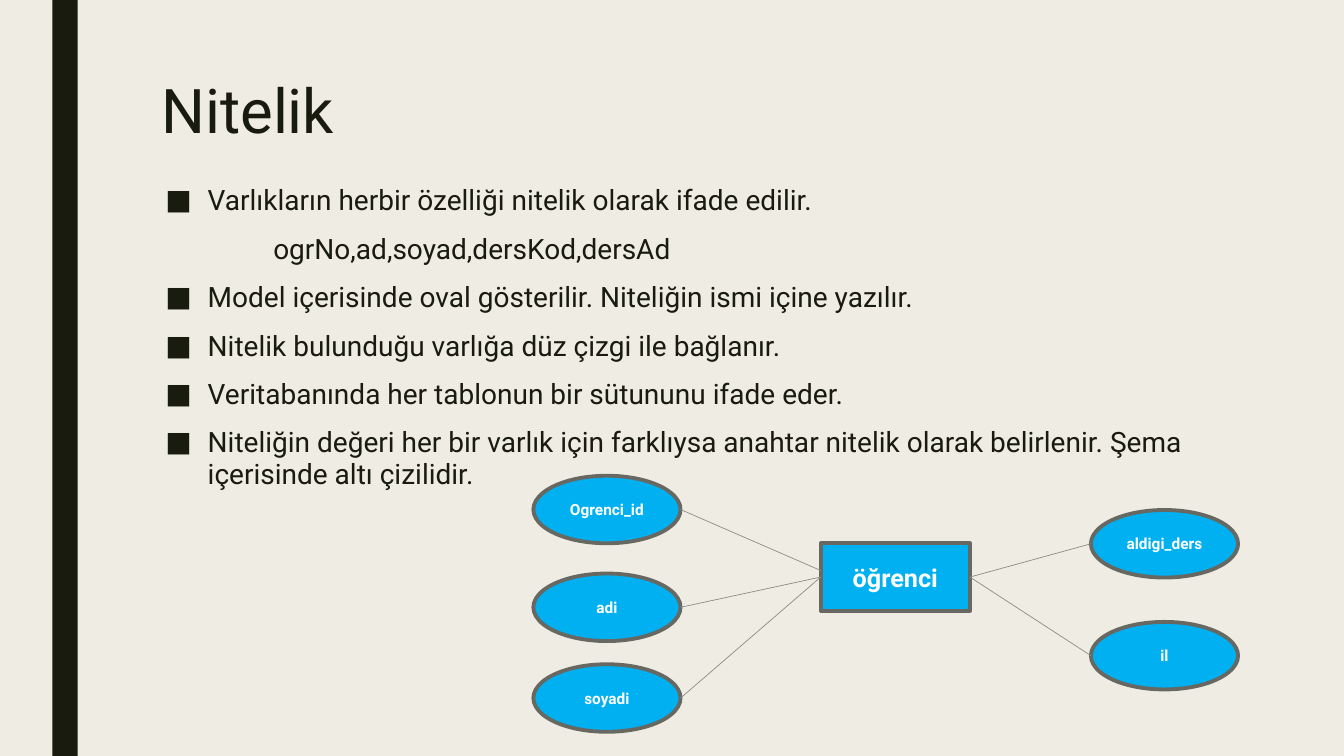
from lxml import etree
from pptx import Presentation
from pptx.dml.color import RGBColor
from pptx.enum import shapes, text
from pptx.oxml import ns
from pptx.util import Inches, Pt

FONT = "Roboto"
COLORS = {"page": "EFEDE3", "ink": "191B0E", "node": "00B0F0",
          "outline": "686863", "link": "8C8D86", "label": "FFFFFF"}

TITLE = "Nitelik"
POINTS = [  # text, has a bullet
    ("Varlıkların herbir özelliği nitelik olarak ifade edilir.", True),
    ("ogrNo,ad,soyad,dersKod,dersAd", False),
    ("Model içerisinde oval gösterilir. Niteliğin ismi içine yazılır.", True),
    ("Nitelik bulunduğu varlığa düz çizgi ile bağlanır.", True),
    ("Veritabanında her tablonun bir sütununu ifade eder.", True),
    ("Niteliğin değeri her bir varlık için farklıysa anahtar nitelik olarak "
     "belirlenir. Şema içerisinde altı çizilidir.", True),
]
ENTITY = ("öğrenci", 8.14, 5.39)
ENTITY_W, ATTRIBUTE_W, NODE_H = 1.48, 1.46, 0.67
LEFT_X, RIGHT_X = 5.29, 10.82
LEFT_ATTRIBUTES = [("Ogrenci_id", 4.72), ("adi", 5.69), ("soyadi", 6.59)]
RIGHT_ATTRIBUTES = [("aldigi_ders", 5.06), ("il", 6.17)]
KEY_ATTRIBUTE, KEY_LINK_END_Y = "Ogrenci_id", 5.66
LEFT_SIDE, RIGHT_SIDE = 1, 3


def color(name):
    return RGBColor.from_string(COLORS[name])


def indent(paragraph, left, bullet=None):
    """Set the left indent in inches, with a hanging bullet if one is given."""
    props = paragraph._p.get_or_add_pPr()
    props.set("marL", str(Inches(left)))
    props.set("indent", str(-Inches(left) if bullet else 0))
    if bullet:
        etree.SubElement(props, ns.qn("a:buFont"), typeface=FONT)
        etree.SubElement(props, ns.qn("a:buChar"), char=bullet)
    else:
        etree.SubElement(props, ns.qn("a:buNone"))


def write(paragraph, words, size, ink="ink", bold=False,
          align=text.PP_ALIGN.LEFT, spacing=1.0, before=0, after=0):
    paragraph.alignment = align
    paragraph.line_spacing = spacing
    paragraph.space_before, paragraph.space_after = Pt(before), Pt(after)
    run = paragraph.add_run()
    run.text = words
    run.font.name, run.font.size, run.font.bold = FONT, Pt(size), bold
    run.font.color.rgb = color(ink)


def place(placeholder, left, top, width, height):
    placeholder.left, placeholder.top = Inches(left), Inches(top)
    placeholder.width, placeholder.height = Inches(width), Inches(height)
    frame = placeholder.text_frame
    frame.auto_size = text.MSO_AUTO_SIZE.NONE
    frame.vertical_anchor = text.MSO_ANCHOR.TOP
    return frame


def add_filled(slide, kind, left, top, width, height, fill):
    shape = slide.shapes.add_shape(kind, Inches(left), Inches(top),
                                   Inches(width), Inches(height))
    shape.shadow.inherit = False
    shape.fill.solid()
    shape.fill.fore_color.rgb = color(fill)
    shape.line.fill.background()
    return shape


def add_node(slide, kind, words, left, top, width, size):
    node = add_filled(slide, kind, left, top, width, NODE_H, "node")
    node.line.color.rgb = color("outline")
    node.line.width = Pt(2.75)
    frame = node.text_frame
    frame.vertical_anchor = text.MSO_ANCHOR.MIDDLE
    write(frame.paragraphs[0], words, size, ink="label", bold=True,
          align=text.PP_ALIGN.CENTER)
    return node


def add_link(slide, start, end):
    link = slide.shapes.add_connector(shapes.MSO_CONNECTOR.STRAIGHT,
                                      *map(Inches, start + end))
    link.line.color.rgb = color("link")
    link.line.width = Pt(0.5)
    etree.SubElement(link._element.spPr, ns.qn("a:effectLst"))
    return link


def add_attributes(slide, attributes, left, entity, side):
    """Add a column of ovals, each linked to one side of the entity."""
    _, entity_x, entity_y = ENTITY
    start_x = left + (ATTRIBUTE_W if side == LEFT_SIDE else 0)
    end_x = entity_x + (ENTITY_W if side == RIGHT_SIDE else 0)
    for name, top in attributes:
        add_node(slide, shapes.MSO_SHAPE.OVAL, name, left, top, ATTRIBUTE_W, 11)
        is_key = name == KEY_ATTRIBUTE
        end_y = KEY_LINK_END_Y if is_key else entity_y + NODE_H / 2
        link = add_link(slide, (start_x, top + NODE_H / 2), (end_x, end_y))
        if not is_key:
            link.end_connect(entity, side)


def main():
    deck = Presentation()
    deck.slide_width, deck.slide_height = Inches(13.33), Inches(7.5)
    slide = deck.slides.add_slide(deck.slide_layouts[1])
    slide.background.fill.solid()
    slide.background.fill.fore_color.rgb = color("page")
    add_filled(slide, shapes.MSO_SHAPE.RECTANGLE, 0.52, 0, 0.25, 7.5, "ink")

    heading = place(slide.shapes.title, 1.5, 0.75, 10.5, 1.62)
    write(heading.paragraphs[0], TITLE, 44, spacing=0.89)

    body = place(slide.placeholders[1], 1.54, 1.79, 10.5, 3.92)
    for i, (words, bulleted) in enumerate(POINTS):
        point = body.add_paragraph() if i else body.paragraphs[0]
        if bulleted:
            indent(point, 0.42, "■")
        else:
            indent(point, 1.07)
        write(point, words, 20, spacing=0.94, before=10 if i else 0, after=2)

    entity = add_node(slide, shapes.MSO_SHAPE.RECTANGLE, *ENTITY, ENTITY_W, 18)
    add_attributes(slide, LEFT_ATTRIBUTES, LEFT_X, entity, LEFT_SIDE)
    add_attributes(slide, RIGHT_ATTRIBUTES, RIGHT_X, entity, RIGHT_SIDE)
    deck.save("out.pptx")


if __name__ == "__main__":
    main()
